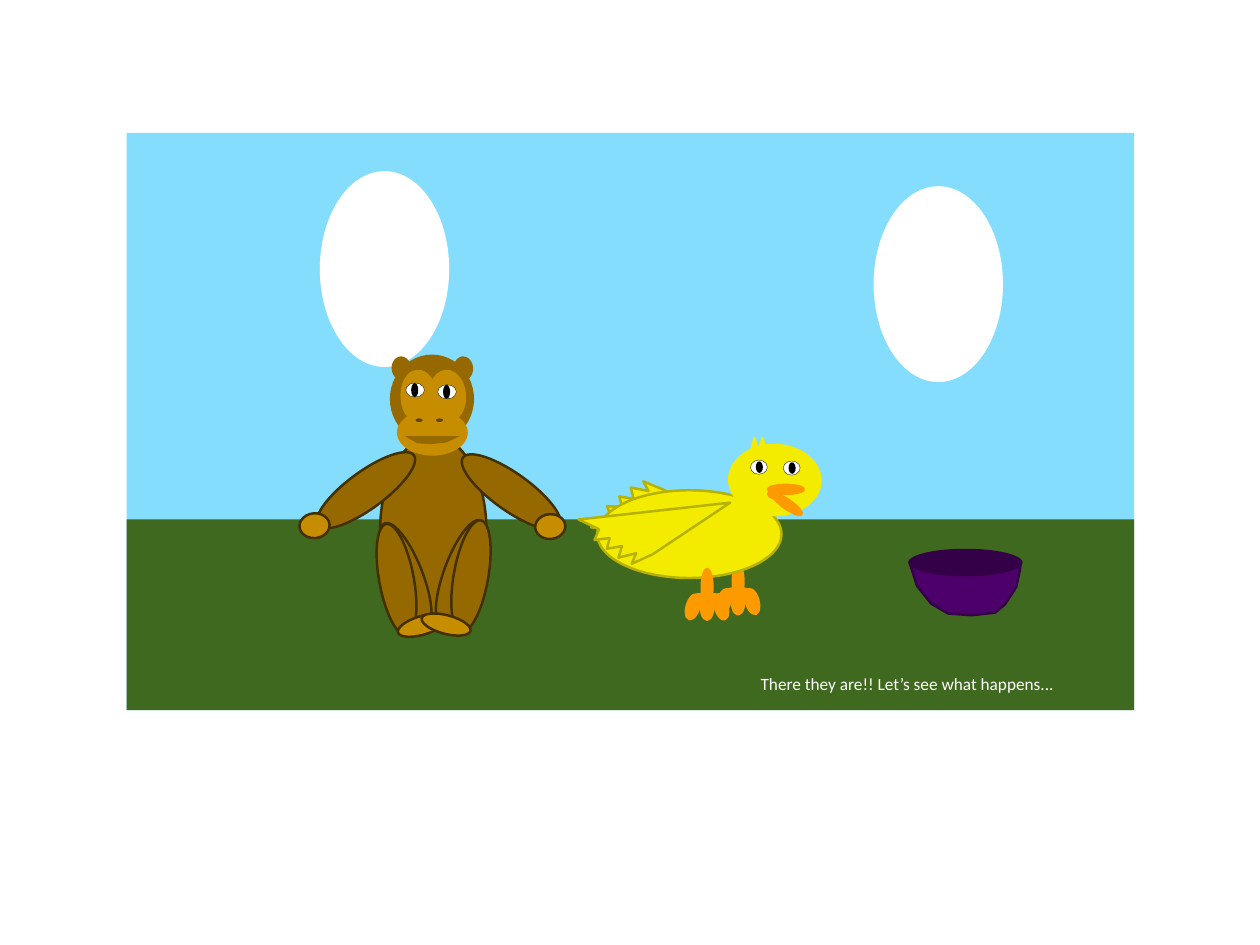
from pptx import Presentation
from pptx.dml.color import RGBColor
from pptx.enum.shapes import MSO_SHAPE
from pptx.enum.text import MSO_ANCHOR, PP_ALIGN
from pptx.util import Inches, Pt

WHITE = RGBColor(0xFF, 0xFF, 0xFF)
BLACK = RGBColor(0x00, 0x00, 0x00)
SKY = RGBColor(0x84, 0xDD, 0xFD)
GRASS = RGBColor(0x3F, 0x69, 0x1E)
PURPLE = RGBColor(0x4D, 0x00, 0x69)
DARK_PURPLE = RGBColor(0x34, 0x00, 0x47)
YELLOW = RGBColor(0xF3, 0xEB, 0x00)
OLIVE = RGBColor(0xB7, 0xB1, 0x00)
ORANGE = RGBColor(0xFD, 0x9A, 0x00)
FUR = RGBColor(0x95, 0x69, 0x00)
SKIN = RGBColor(0xC7, 0x8D, 0x00)
FUR_EDGE = RGBColor(0x43, 0x2F, 0x00)
NOSTRIL = RGBColor(0x64, 0x46, 0x00)

BOWL = [(10.27, 6.36), (10.35, 6.61), (10.51, 6.81), (10.7, 6.92), (10.97, 6.94),
        (11.23, 6.91), (11.34, 6.82), (11.47, 6.62), (11.51, 6.43), (11.52, 6.35)]
FAR_WING = [(8.38, 6.09), (7.5, 5.53), (7.26, 5.43), (7.32, 5.54), (7.12, 5.5), (7.15, 5.63),
            (6.99, 5.6), (7.02, 5.72), (6.85, 5.71), (6.9, 5.83), (6.67, 5.95)]
NEAR_WING = [(8.24, 5.67), (7.37, 6.25), (7.13, 6.36), (7.18, 6.24), (6.98, 6.29), (7.02, 6.16),
             (6.85, 6.19), (6.88, 6.07), (6.71, 6.09), (6.76, 5.97), (6.53, 5.86)]
MOUTH = [(4.57, 4.92), (4.71, 5), (4.87, 5.01), (5.04, 4.99), (5.19, 4.92)]


def paint(shape, fill, edge=None, edge_width=2):
    shape.shadow.inherit = False
    shape.fill.solid()
    shape.fill.fore_color.rgb = fill
    if edge is None:
        shape.line.fill.background()
    else:
        shape.line.color.rgb = edge
        shape.line.width = Pt(edge_width)


def add_preset(parent, kind, box, fill, edge=None, edge_width=2, rotation=0):
    shape = parent.shapes.add_shape(kind, *(Inches(length) for length in box))
    shape.rotation = rotation
    paint(shape, fill, edge, edge_width)


def add_ellipse(parent, box, fill, edge=None, **style):
    add_preset(parent, MSO_SHAPE.OVAL, box, fill, edge, **style)


def add_outline(parent, points, fill, edge=None):
    start, *rest = [(Inches(x), Inches(y)) for x, y in points]
    builder = parent.shapes.build_freeform(*start)
    builder.add_line_segments(rest, close=True)
    paint(builder.convert_to_shape(), fill, edge)


def add_text(slide, text, box, size, color, font="Calibri", align=PP_ALIGN.CENTER):
    frame = slide.shapes.add_textbox(*(Inches(length) for length in box)).text_frame
    frame.word_wrap = True
    frame.vertical_anchor = MSO_ANCHOR.MIDDLE
    frame.margin_left = frame.margin_right = frame.margin_top = frame.margin_bottom = 0
    paragraph = frame.paragraphs[0]
    paragraph.alignment = align
    run = paragraph.add_run()
    run.text = text
    run.font.name = font
    run.font.size = Pt(size)
    run.font.color.rgb = color


def add_eye(animal, left, top, width, pupil_height, rotation=0):
    height = 0.16
    add_ellipse(animal, (left, top, width, height), WHITE, BLACK,
                edge_width=0.25, rotation=rotation)
    pupil_top = top + (height - pupil_height) / 2
    add_ellipse(animal, (left + 0.06, pupil_top, 0.08, pupil_height), BLACK, rotation=rotation)


def add_scenery(slide):
    add_preset(slide, MSO_SHAPE.RECTANGLE, (1.43, 1.5, 11.37, 6.51), SKY)
    add_preset(slide, MSO_SHAPE.RECTANGLE, (1.43, 5.86, 11.37, 2.15), GRASS)
    for left, top in ((3.61, 1.93), (9.86, 2.1)):
        add_ellipse(slide, (left, top, 1.46, 2.21), WHITE)


def add_bowl(slide):
    bowl = slide.shapes.add_group_shape()
    add_outline(bowl, BOWL, PURPLE, DARK_PURPLE)
    add_ellipse(bowl, (10.25, 6.19, 1.29, 0.31), DARK_PURPLE)


def add_duck_leg(duck, left, top):
    """Draw three toes, the bar joining them and the shank."""
    for toe, rotation in enumerate((16.9, 0, 344.7)):
        add_ellipse(duck, (left + 0.16 * toe, top, 0.14, 0.29), ORANGE, ORANGE, rotation=rotation)
    add_ellipse(duck, (left + 0.18, top - 0.12, 0.12, 0.35), ORANGE, ORANGE, rotation=272.1)
    add_ellipse(duck, (left + 0.17, top - 0.28, 0.12, 0.4), ORANGE, ORANGE)


def add_duck(slide):
    duck = slide.shapes.add_group_shape()
    add_duck_leg(duck, 8.1, 6.64)
    add_outline(duck, FAR_WING, YELLOW, OLIVE)
    add_ellipse(duck, (6.74, 5.53, 2.08, 0.99), YELLOW, OLIVE)
    add_ellipse(duck, (8.23, 5.02, 1.03, 0.79), YELLOW, YELLOW, rotation=1.5)
    for beak_part, rotation in (((8.67, 5.47, 0.4, 0.1), 0),
                                ((8.69, 5.64, 0.39, 0.1), 35),
                                ((8.67, 5.52, 0.16, 0.1), 0)):
        add_ellipse(duck, beak_part, ORANGE, ORANGE, rotation=rotation)
    add_outline(duck, NEAR_WING, YELLOW, OLIVE)
    for eye_left, eye_top in ((8.47, 5.19), (8.84, 5.2)):
        add_eye(duck, eye_left, eye_top, 0.19, 0.13, rotation=358.4)
    for tuft_left in (8.48, 8.57):
        add_preset(duck, MSO_SHAPE.ISOSCELES_TRIANGLE, (tuft_left, 4.94, 0.07, 0.13),
                   YELLOW, YELLOW)
    add_duck_leg(duck, 7.75, 6.7)


def add_monkey(slide):
    monkey = slide.shapes.add_group_shape()
    add_ellipse(monkey, (4.29, 4.92, 1.2, 2.13), FUR, FUR_EDGE)
    for ear_left in (4.42, 5.12):
        add_ellipse(monkey, (ear_left, 4.02, 0.22, 0.27), FUR, rotation=355.6)
    add_ellipse(monkey, (4.4, 4, 0.95, 1), FUR)
    add_ellipse(monkey, (4.48, 4.62, 0.8, 0.52), SKIN)
    add_outline(monkey, MOUTH, FUR)

    for arm_left, arm_top, rotation, hand_left, hand_top in (
            (3.92, 4.86, 233.9, 3.38, 5.79), (5.56, 4.88, 305.5, 6.04, 5.8)):
        add_ellipse(monkey, (arm_left, arm_top, 0.42, 1.34), FUR, FUR_EDGE, rotation=rotation)
        add_ellipse(monkey, (hand_left, hand_top, 0.34, 0.28), SKIN, FUR_EDGE, rotation=355.6)

    for brow_left, brow_height in ((4.52, 0.62), (4.84, 0.59)):
        add_ellipse(monkey, (brow_left, 4.17, 0.42, brow_height), SKIN, rotation=355.6)
    for eye_left, eye_top in ((4.58, 4.32), (4.94, 4.34)):
        add_eye(monkey, eye_left, eye_top, 0.21, 0.16)
    for nostril_left in (4.69, 4.92):
        add_ellipse(monkey, (nostril_left, 4.72, 0.08, 0.04), NOSTRIL)

    for leg_left, leg_top, rotation in ((5.01, 5.83, 20.2), (4.38, 5.86, 338.6),
                                        (5.12, 5.86, 10), (4.28, 5.9, 349.5)):
        add_ellipse(monkey, (leg_left, leg_top, 0.39, 1.28), FUR, FUR_EDGE, rotation=rotation)
    for foot_left, foot_top, rotation in ((4.48, 6.95, 343.6), (4.75, 6.94, 14.7)):
        add_ellipse(monkey, (foot_left, foot_top, 0.57, 0.21), SKIN, FUR_EDGE, rotation=rotation)


def main():
    deck = Presentation()
    deck.slide_width = Inches(14.22)
    deck.slide_height = Inches(10.66)
    slide = deck.slides.add_slide(deck.slide_layouts.get_by_name("Blank"))
    add_scenery(slide)
    add_bowl(slide)
    add_duck(slide)
    add_monkey(slide)
    add_text(slide, "There they are!! Let’s see what happens...",
             (8.33, 7.55, 3.82, 0.33), size=14, color=WHITE)
    deck.save("out.pptx")


if __name__ == "__main__":
    main()
